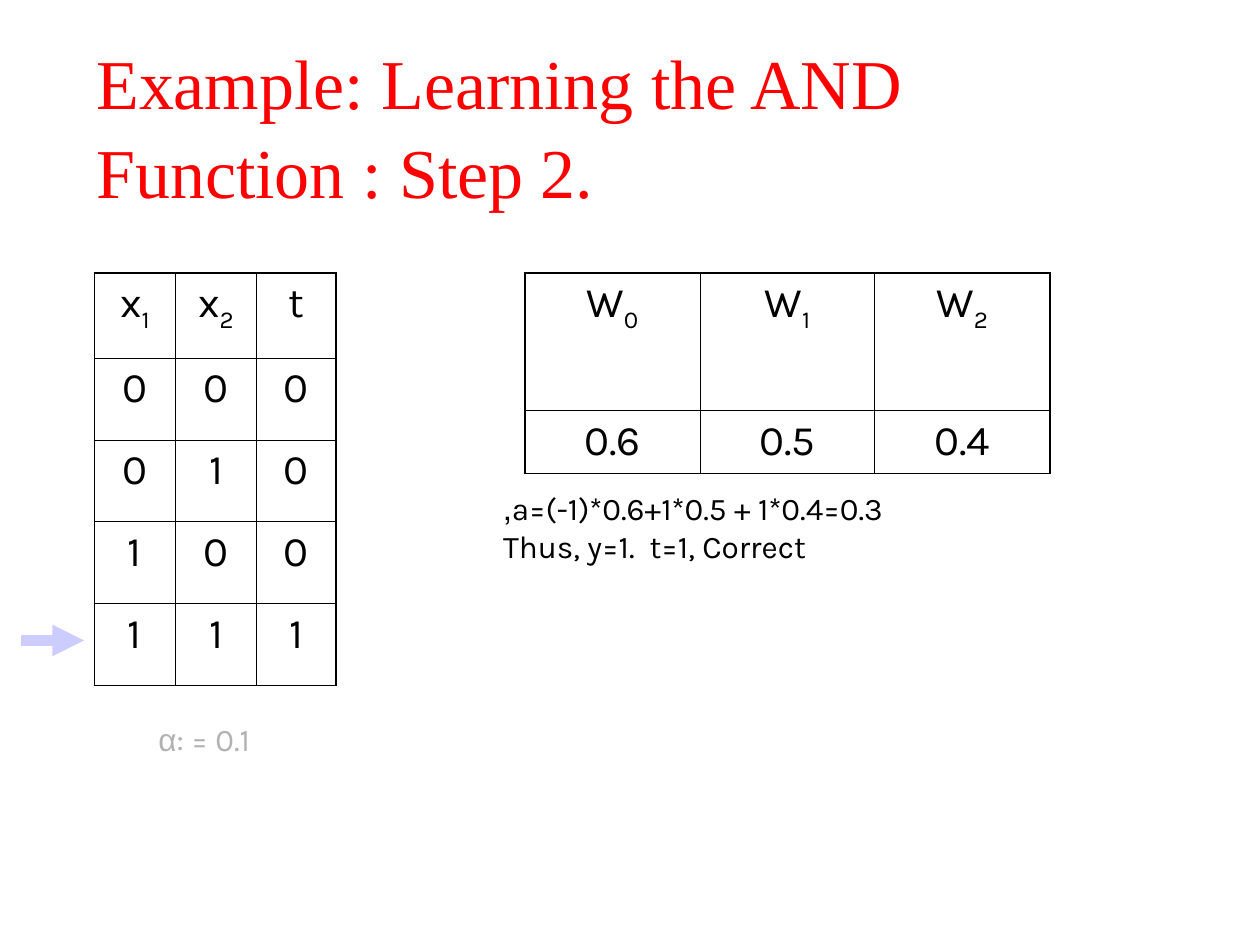
from lxml import etree
from pptx import Presentation
from pptx import util as u
from pptx.dml.color import RGBColor
from pptx.enum import shapes, text
from pptx.oxml import ns

BLACK = RGBColor(0x00, 0x00, 0x00)
RED = RGBColor(0xFF, 0x00, 0x00)
GREY = RGBColor(0xB2, 0xB2, 0xB2)
LILAC = RGBColor(0xCC, 0xCC, 0xFF)

COLUMNS, ROWS = 60, 45
UNIT = u.Inches(10) // COLUMNS
THICK, THIN = 1.08, 0.45

TRUTH_TABLE = [["x_1", "x_2", "t"],
               ["0", "0", "0"],
               ["0", "1", "0"],
               ["1", "0", "0"],
               ["1", "1", "1"]]
WEIGHTS = [["W_0", "W_1", "W_2"],
           ["0.6", "0.5", "0.4"]]


def grid(*lengths):
    """Turn lengths in grid units into slide lengths."""
    return [u.Emu(round(length * UNIT)) for length in lengths]


def add_span(para, words, size=18, font="Karla", color=BLACK, subscript=False):
    span = para.add_run()
    span.text = words
    span.font.size = u.Pt(size)
    span.font.name = font
    span.font.color.rgb = color
    if subscript:
        span._r.get_or_add_rPr().set("baseline", "-25000")


def add_text(page, box, paragraphs, align=text.PP_ALIGN.LEFT, rtl=False,
             anchor=text.MSO_ANCHOR.TOP, wrap=True, inset=0.1, spacing=None):
    """Place paragraphs, each a list of (words, format) pairs."""
    frame = page.shapes.add_textbox(*grid(*box)).text_frame
    frame.word_wrap = wrap
    frame.vertical_anchor = anchor
    frame.margin_left = u.Inches(inset)
    for index, spans in enumerate(paragraphs):
        para = frame.add_paragraph() if index else frame.paragraphs[0]
        para.alignment = align
        para.line_spacing = spacing
        if rtl:
            para._p.get_or_add_pPr().set("rtl", "1")
        for words, look in spans:
            add_span(para, words, **look)


def set_border(cell, side, width):
    line = etree.SubElement(cell._tc.get_or_add_tcPr(), ns.qn(f"a:ln{side}"),
                            w=str(u.Pt(width)))
    fill = etree.SubElement(line, ns.qn("a:solidFill"))
    etree.SubElement(fill, ns.qn("a:srgbClr"), val=str(BLACK))


def add_grid_table(page, box, values, widths, heights):
    """Draw a table with a thick frame and thin inner lines."""
    last_row, last_col = len(values) - 1, len(widths) - 1
    table = page.shapes.add_table(last_row + 1, last_col + 1, *grid(*box)).table
    table.first_row = table.horz_banding = False
    for column, width in zip(table.columns, grid(*widths)):
        column.width = width
    for row, height in zip(table.rows, grid(*heights)):
        row.height = height
    for r, line in enumerate(values):
        for c, value in enumerate(line):
            cell = table.cell(r, c)
            outer = {"L": c == 0, "R": c == last_col,
                     "T": r == 0, "B": r == last_row}
            for side, is_outer in outer.items():
                set_border(cell, side, THICK if is_outer else THIN)
            cell.fill.background()
            para = cell.text_frame.paragraphs[0]
            para.alignment = text.PP_ALIGN.CENTER
            base, _, index = value.partition("_")
            add_span(para, base, size=24)
            if index:
                add_span(para, index, size=24, subscript=True)


def add_row_arrow(page, start, end):
    arrow = page.shapes.add_connector(shapes.MSO_CONNECTOR.STRAIGHT,
                                      *grid(*start, *end))
    arrow.line.color.rgb = LILAC
    arrow.line.width = u.Pt(6)
    etree.SubElement(arrow.line._get_or_add_ln(), ns.qn("a:tailEnd"),
                     type="triangle")
    etree.SubElement(arrow._element.spPr, ns.qn("a:effectLst"))


def add_title(page, box):
    look = {"size": 40, "font": "Times New Roman", "color": RED}
    add_text(page, box, [[("Example: Learning the AND Function : Step 2.", look)]],
             anchor=text.MSO_ANCHOR.MIDDLE, spacing=1.05)


def add_truth_panel(page, left, top):
    """Truth table, arrow at its last row and the learning rate below."""
    widths, heights = [3.85, 3.88, 3.77], [4.05] + [3.9] * 4
    add_grid_table(page, (left, top, sum(widths), sum(heights)),
                   TRUTH_TABLE, widths, heights)
    arrow_y = top + 17.5
    add_row_arrow(page, (left - 3.5, arrow_y), (left - 0.5, arrow_y))
    add_text(page, (left + 1.7, top + 21, 6.3, 2.4),
             [[("α", {"font": "Arial", "color": GREY}),
               (": = 0.1", {"color": GREY})]],
             align=text.PP_ALIGN.RIGHT, rtl=True, wrap=False)


def add_weights_panel(page, left, top):
    """Weights table with the worked activation below."""
    widths, heights = [8.33] * 3, [6.55, 3]
    add_grid_table(page, (left, top, sum(widths), sum(heights)),
                   WEIGHTS, widths, heights)
    add_text(page, (left - 2, top + 10, 35.4, 6),
             [[("a=(-1)*0.6+1*0.5 + 1*0.4=0.3,", {})],
              [("Thus, y=1.  t=1, Correct", {})]],
             rtl=True, inset=0.16)


def main():
    deck = Presentation()
    deck.slide_width, deck.slide_height = grid(COLUMNS, ROWS)
    page = deck.slides.add_slide(deck.slide_layouts[6])
    add_title(page, (4, 2.15, 51, 7.5))
    add_truth_panel(page, 4.5, 13)
    add_weights_panel(page, 25, 13)
    deck.save("out.pptx")


if __name__ == "__main__":
    main()
